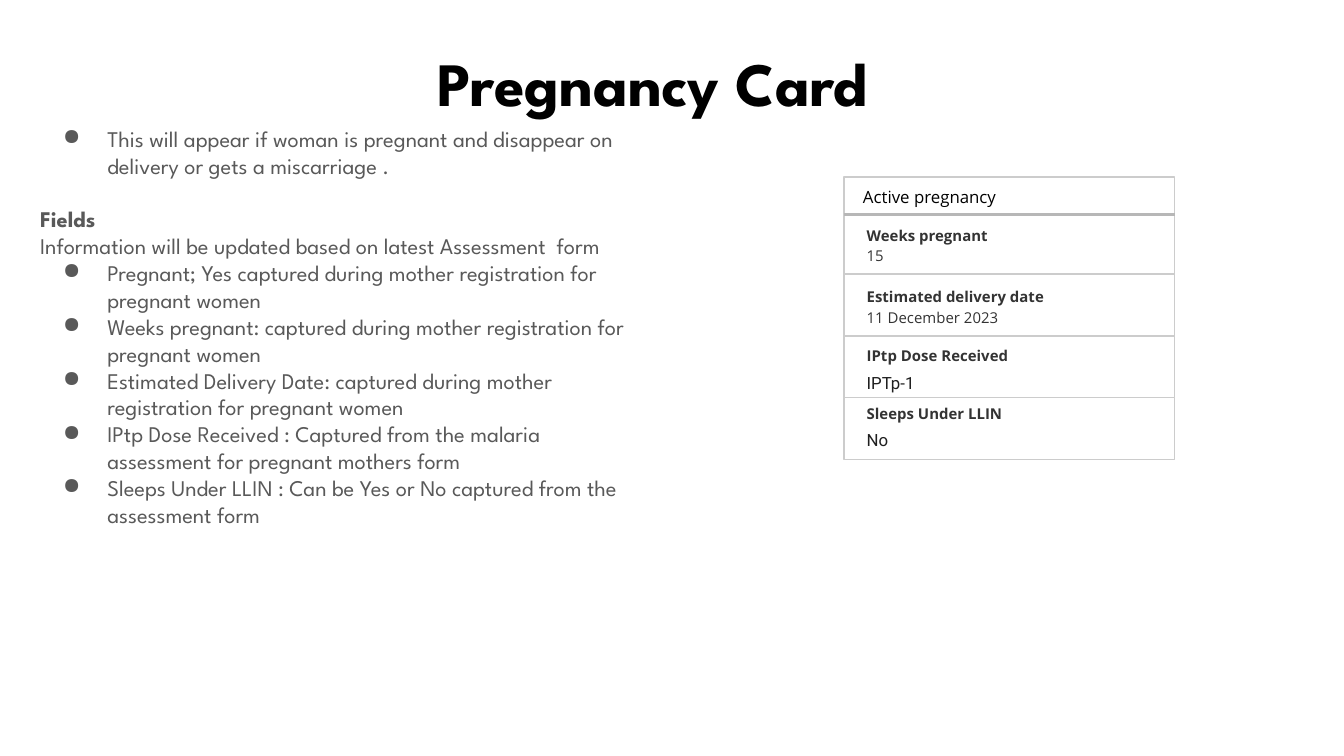
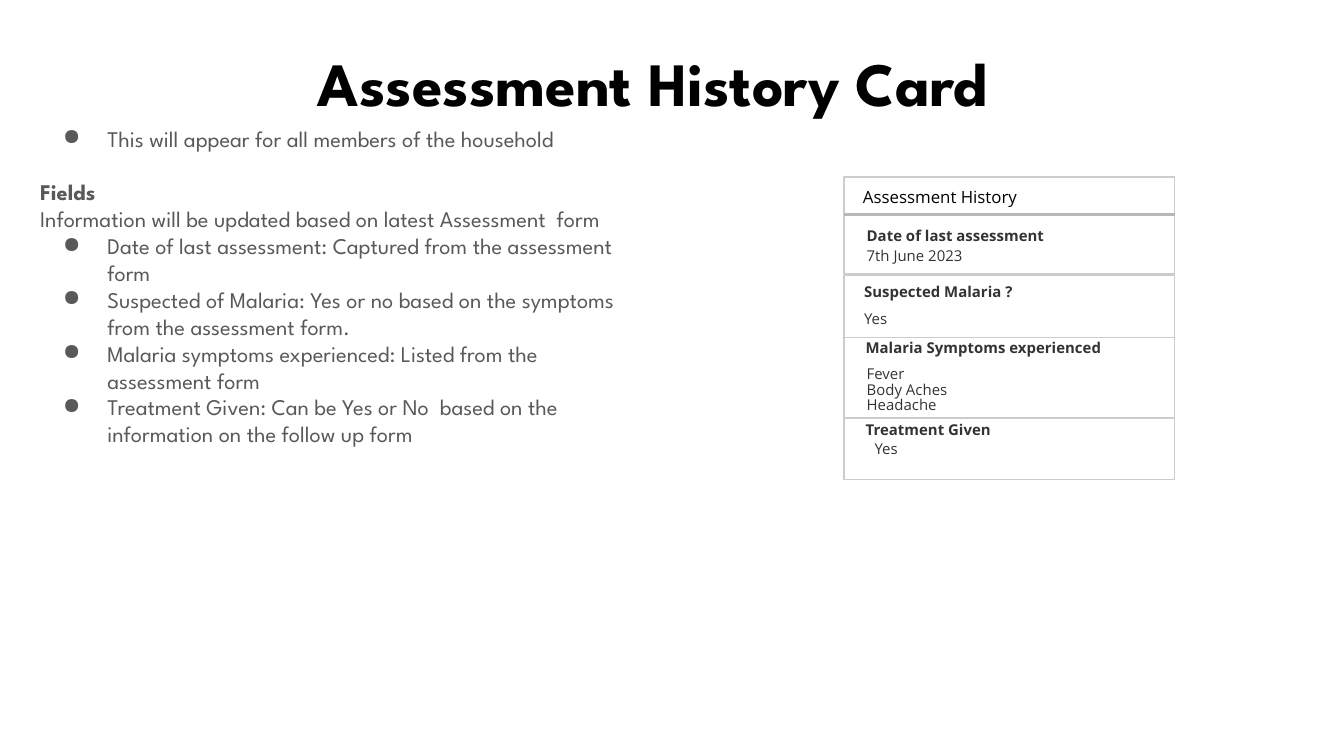
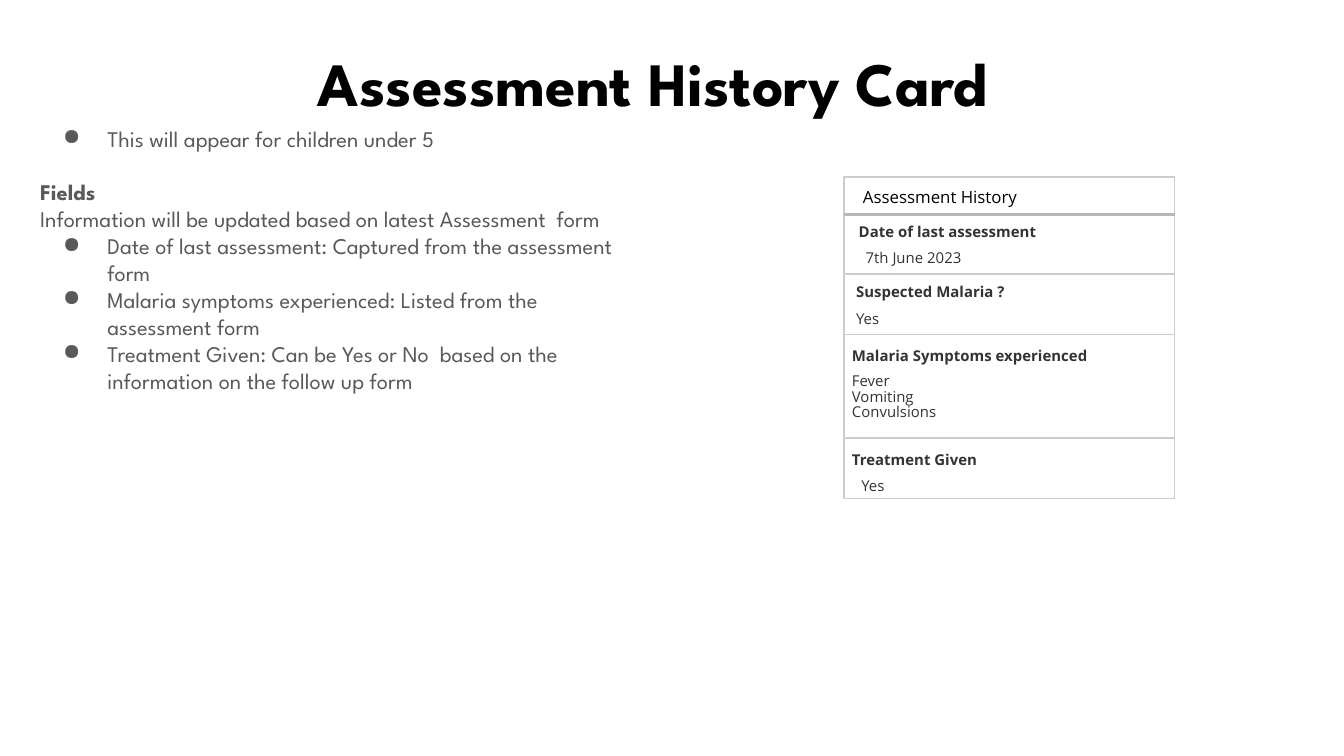
from dataclasses import dataclass
from lxml.etree import SubElement
from pptx import Presentation
from pptx.dml.color import RGBColor as Color
from pptx.enum.shapes import MSO_CONNECTOR as Connector, MSO_SHAPE as Preset
from pptx.enum.text import MSO_ANCHOR as Anchor, PP_ALIGN as Align
from pptx.oxml.ns import qn
from pptx.util import Cm, Pt


@dataclass(frozen=True)
class Theme:
    black: Color = Color.from_string("000000")
    body: Color = Color.from_string("595959")
    field: Color = Color.from_string("333333")
    dose: Color = Color.from_string("1F1F1F")
    paper: Color = Color.from_string("FFFFFF")
    border: Color = Color.from_string("CCCCCC")
    rule: Color = Color.from_string("B7B7B7")
    title_size: Pt = Pt(33)
    body_size: Pt = Pt(12)
    header_size: Pt = Pt(9)
    field_size: Pt = Pt(8)


theme = Theme()
title_font = {"name": "League Spartan", "size": theme.title_size, "bold": True}
body_font = {"name": "League Spartan", "size": theme.body_size, "bold": False}
header_font = {"name": "Open Sans", "size": theme.header_size}
label_font = {"name": "Open Sans", "size": theme.field_size, "bold": True}
value_font = {"name": "Open Sans", "size": theme.field_size, "bold": False}
dose_font = {"name": "Roboto", "size": theme.header_size, "bold": False}

card_left, card_width = 15.95, 6.25
row_top, row_height = 4.01, 1.17
field_width, label_height, value_height = 5.18, 0.38, 0.28


def assign(target, formats):
    for name, value in formats.items():
        setattr(target, name, value)


def write(slide, place, lines, font, color, inset, frame_format, paragraph_format):
    frame = slide.shapes.add_textbox(*map(Cm, place)).text_frame
    margins = dict.fromkeys(
        ("margin_left", "margin_top", "margin_right", "margin_bottom"), Cm(inset))
    assign(frame, {"word_wrap": True, **margins, **frame_format})
    for index, line in enumerate(lines):
        paragraph = frame.add_paragraph() if index else frame.paragraphs[0]
        assign(paragraph, paragraph_format)
        run = paragraph.add_run()
        run.text = line
        assign(run.font, font)
        run.font.color.rgb = color
    return frame


date_of_last = "Date of last assessment"
suspected = "Suspected Malaria ?"
symptoms = "Malaria Symptoms experienced"
treatment = "Treatment Given"
date_note = "Date of last assessment: Captured from the assessment form"
symptoms_note = "Malaria symptoms experienced: Listed from the assessment form"
treatment_note = "Treatment Given: Can be Yes or No  based on the information on the follow up form"

pregnancy_fields = [
    ("Weeks pregnant", "15", value_font, theme.field, 4.27, 4.7),
    ("Estimated delivery date", "11 December 2023", value_font, theme.field, 5.41, 5.87),
    ("IPtp Dose Received", "IPTp-1", dose_font, theme.dose, 6.53, 7.09),
    ("Sleeps Under LLIN", "No", dose_font, theme.dose, 7.62, 8.18),
]
pregnancy_rows = [
    (row_top + index * row_height, row_height,
     label, (16.23, label_top, field_width, label_height),
     [value], (16.23, value_top, field_width, value_height), font, color)
    for index, (label, value, font, color, label_top, value_top)
    in enumerate(pregnancy_fields)
]
member_rows = [
    (row_top, row_height, date_of_last, (16.23, 4.27, field_width, label_height),
     ["7th June 2023"], (16.23, 4.7, field_width, value_height)),
    (5.21, row_height, suspected, (16.18, 5.33, field_width, label_height),
     ["Yes"], (16.18, 5.89, field_width, value_height)),
    (6.2, 1.7, symptoms, (16.21, 6.4, field_width, 0.33),
     ["Fever", "Body Aches", "Headache"], (16.23, 6.8, field_width, 1.17)),
    (7.9, row_height, treatment, (16.21, 7.95, field_width, 0.33),
     ["Yes"], (16.38, 8.31, 4.83, 0.33)),
]
child_rows = [
    (row_top, row_height, date_of_last, (16.08, 4.19, 5.05, label_height),
     ["7th June 2023"], (16.21, 4.72, 5.05, value_height)),
    (5.16, row_height, suspected, (16.03, 5.23, 5.56, 0.56),
     ["Yes"], (16.03, 5.82, 5.56, 0.41)),
    (6.25, 2.03, symptoms, (15.95, 6.45, field_width, 0.56),
     ["Fever", "Vomiting", "Convulsions"], (15.95, 6.93, field_width, 1.17)),
    (8.26, row_height, treatment, (15.95, 8.31, field_width, 0.74),
     ["Yes"], (16.13, 9.02, 4.83, 0.33)),
]

cards = [
    ("Pregnancy Card", "Active pregnancy", 8.41,
     "This will appear if woman is pregnant and disappear on delivery or gets a miscarriage .",
     ["Pregnant; Yes captured during mother registration for pregnant women",
      "Weeks pregnant: captured during mother registration for pregnant women",
      "Estimated Delivery Date: captured during mother registration for pregnant women",
      "IPtp Dose Received : Captured from the malaria assessment for pregnant mothers form",
      "Sleeps Under LLIN : Can be Yes or No captured from the assessment form"],
     pregnancy_rows),
    ("Assessment History Card", "Assessment History", 11.3,
     "This will appear for all members of the household",
     [date_note,
      "Suspected of Malaria: Yes or no based on the symptoms from the assessment form.",
      symptoms_note, treatment_note],
     [(*row, value_font, theme.field) for row in member_rows]),
    ("Assessment History Card", "Assessment History", 11.3,
     "This will appear for children under 5",
     [date_note, symptoms_note, treatment_note],
     [(*row, value_font, theme.field) for row in child_rows]),
]

presentation = Presentation()
assign(presentation, {"slide_width": Cm(25.4), "slide_height": Cm(14.29)})

for title, header, notes_height, condition, notes, rows in cards:
    slide = presentation.slides.add_slide(presentation.slide_layouts[6])
    write(slide, (0.51, 0.46, 23.67, 2.03), [title], title_font, theme.black, 0.25,
          {"vertical_anchor": Anchor.BOTTOM}, {"alignment": Align.CENTER})

    lines = [condition, "Fields",
             "Information will be updated based on latest Assessment  form", *notes]
    frame = write(slide, (0.51, 2.11, 11.84, notes_height), lines,
                  body_font, theme.body, 0.25, {}, {})
    for index, paragraph in enumerate(frame.paragraphs):
        if index == 1:
            paragraph.space_before = Pt(14.4)
            paragraph.runs[0].font.bold = True
        elif index != 2:
            properties = paragraph._p.get_or_add_pPr()
            properties.set("marL", str(Cm(1.27)))
            properties.set("indent", str(Cm(-0.84)))
            bullet_color = SubElement(properties, qn("a:buClr"))
            SubElement(bullet_color, qn("a:srgbClr"), val=str(theme.body))
            SubElement(properties, qn("a:buChar"), char="●")

    boxes = [(top, height) for top, height, *_ in reversed(rows)] + [(3.35, 0.69)]
    for top, height in boxes:
        shape = slide.shapes.add_shape(
            Preset.RECTANGLE, Cm(card_left), Cm(top), Cm(card_width), Cm(height))
        shape.shadow.inherit = False
        shape.fill.solid()
        shape.fill.fore_color.rgb = theme.paper
        shape.line.color.rgb = theme.border
        shape.line.width = Pt(0.75)

    rule = slide.shapes.add_connector(
        Connector.STRAIGHT, Cm(card_left), Cm(4.06), Cm(card_left + card_width), Cm(4.06))
    rule.line.color.rgb = theme.rule
    rule.line.width = Pt(1.5)
    SubElement(rule._element.spPr, qn("a:effectLst"))
    write(slide, (16.18, 3.4, 5.77, 0.58), [header],
          header_font, theme.black, 0.13, {}, {})

    for top, height, label, label_place, values, value_place, font, color in rows:
        middle = {"vertical_anchor": Anchor.MIDDLE}
        spacing = {"line_spacing": 0.87} if len(values) > 1 else {}
        write(slide, label_place, [label], label_font, theme.field, 0.15, middle, {})
        write(slide, value_place, values, font, color, 0.15, middle, spacing)

presentation.save("out.pptx")
